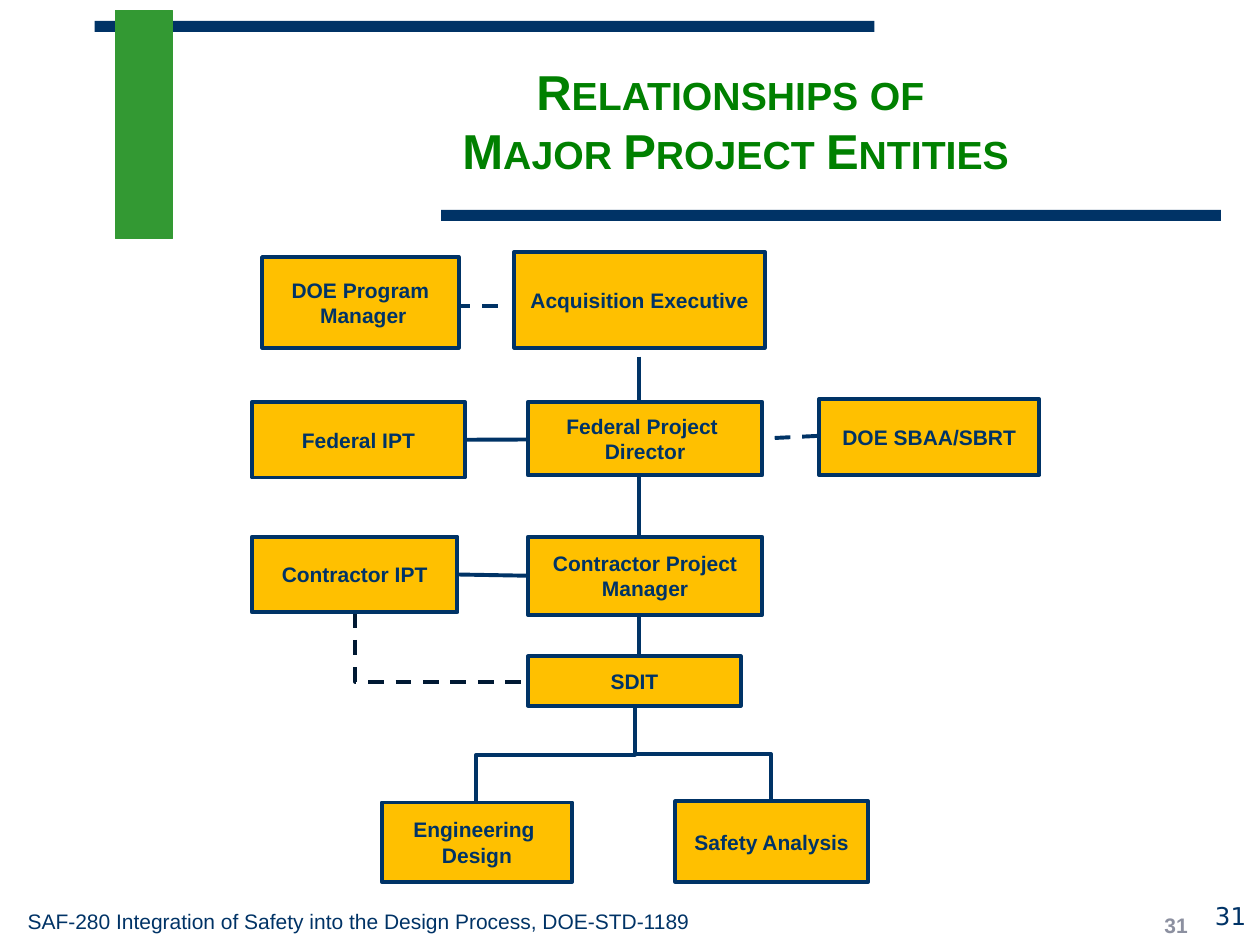
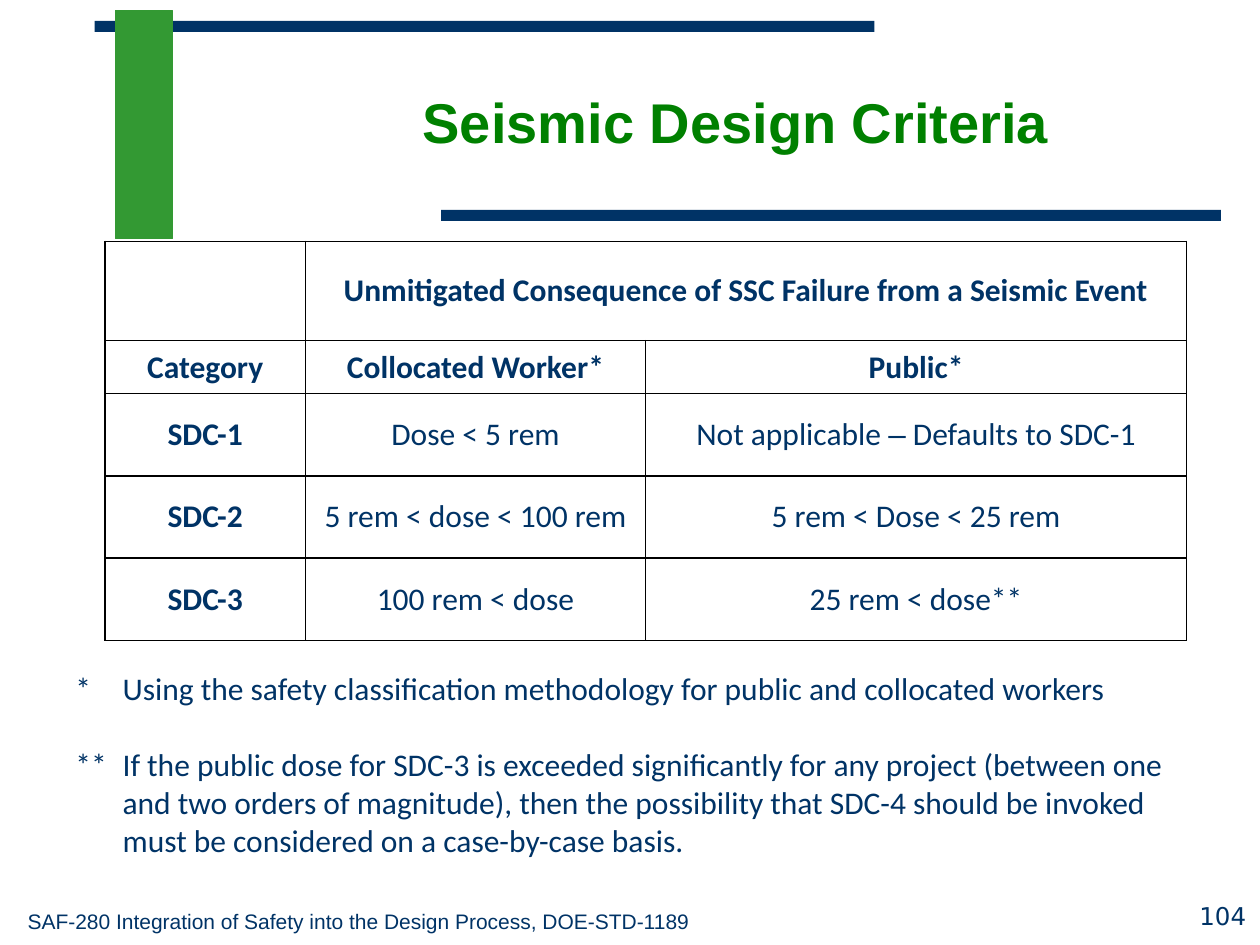
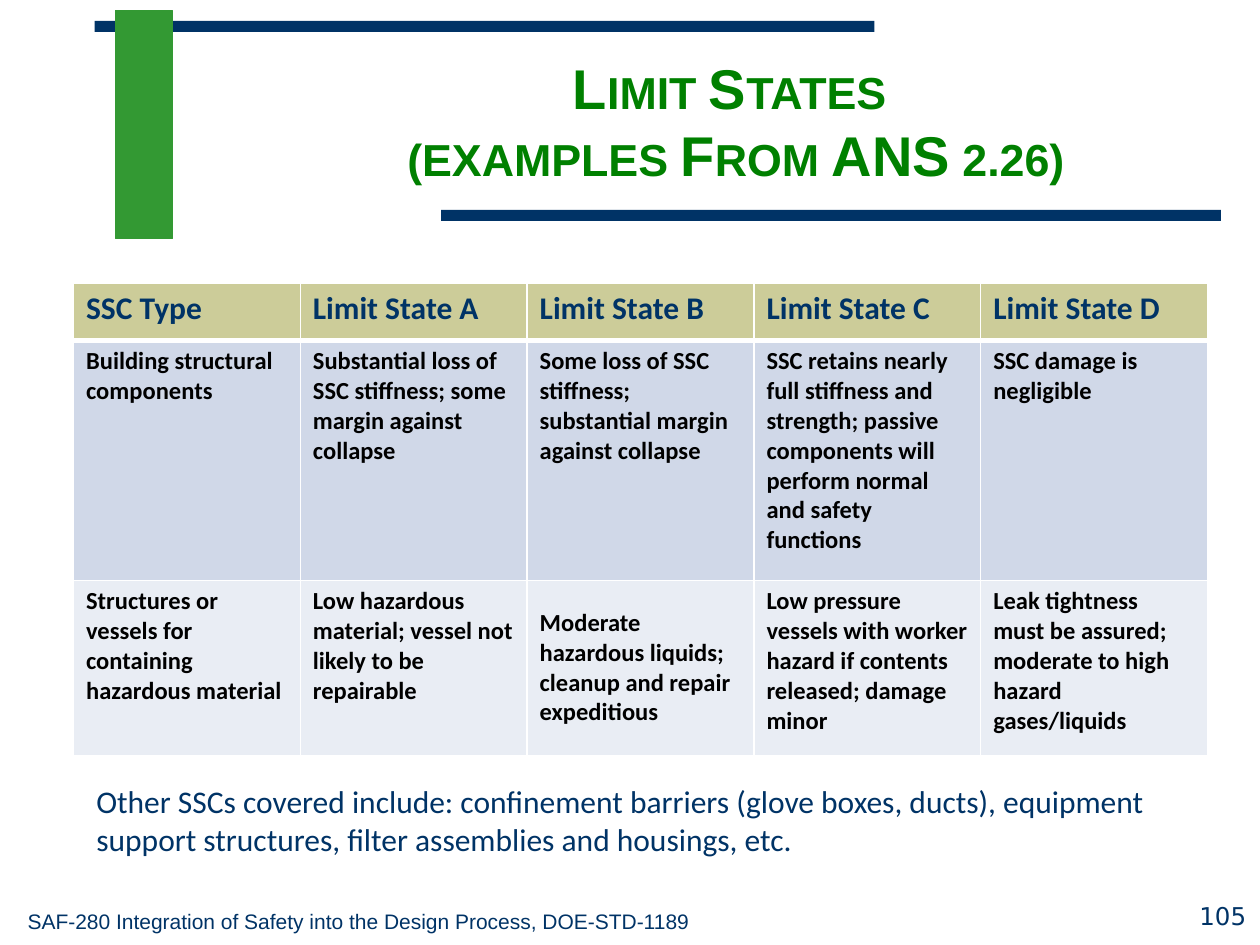
from dataclasses import dataclass

from lxml.etree import SubElement
from pptx import Presentation
from pptx.dml.color import RGBColor
from pptx.enum.dml import MSO_LINE
from pptx.enum.shapes import MSO_CONNECTOR, MSO_SHAPE
from pptx.enum.text import MSO_ANCHOR, MSO_AUTO_SIZE, PP_ALIGN
from pptx.oxml.ns import qn
from pptx.util import Pt


@dataclass(frozen=True)
class Theme:
    navy: str = "003366"
    midnight: str = "001933"
    green: str = "339933"
    title_green: str = "008000"
    gold: str = "FFC000"
    gray: str = "8C90A0"
    black: str = "000000"
    white: str = "FFFFFF"
    khaki: str = "CCCC99"
    row_fills: tuple = ("D0D8E8", "E9EDF4")
    heading_font: str = "Arial"
    body_font: str = "Calibri"
    number_font: str = "DejaVu Sans"
    body: int = 18
    small: int = 14
    label: int = 12


theme = Theme()


def add_span(para, text, size, color=theme.navy, bold=False, font=theme.body_font):
    span = para.add_run()
    span.text = text
    span.font.size = Pt(size)
    span.font.bold = bold
    span.font.name = font
    span.font.color.rgb = RGBColor.from_string(color)
    return span


def set_borders(cell, color, **widths):
    properties = cell._tc.get_or_add_tcPr()
    for side in "LRTB":
        width = Pt(widths.get(side, 1))
        border = SubElement(properties, qn(f"a:ln{side}"), w=str(width))
        fill = SubElement(border, qn("a:solidFill"))
        SubElement(fill, qn("a:srgbClr"), val=color)


deck = Presentation()
deck.slide_width, deck.slide_height = Pt(720), Pt(540)

# Shared frame: bands, title, footer and page number
bands = [
    (54, 12, 445.7, 6.3, theme.navy),
    (66, 6, 32.7, 130.3, theme.green),
    (252, 120, 445.7, 6.3, theme.navy),
]
footer = "SAF-280 Integration of Safety into the Design Process, DOE-STD-1189"
headings = [
    (["Relationships of ", "Major Project Entities"], 28, True, "31"),
    (["Seismic Design Criteria"], 32, False, "104"),
    (["Limit States ", "(examples From ANS 2.26)"], 32, True, "105"),
]
pages = []
for lines, size, small_caps, number in headings:
    page = deck.slides.add_slide(deck.slide_layouts[5])
    pages.append(page)

    for left, top, width, height, color in bands:
        band = page.shapes.add_shape(
            MSO_SHAPE.RECTANGLE, Pt(left), Pt(top), Pt(width), Pt(height))
        band.shadow.inherit = False
        band.fill.solid()
        band.fill.fore_color.rgb = RGBColor.from_string(color)
        if color == theme.green:
            band.line.color.rgb = RGBColor.from_string(color)
            band.line.width = Pt(0.75)
        else:
            band.line.fill.background()

    title = page.shapes.title
    title.left, title.top, title.width, title.height = Pt(139), Pt(24), Pt(563), Pt(90)
    title.text_frame.auto_size = MSO_AUTO_SIZE.NONE
    title.text_frame.vertical_anchor = MSO_ANCHOR.MIDDLE
    para = title.text_frame.paragraphs[0]
    para.alignment = PP_ALIGN.CENTER
    for index, line in enumerate(lines):
        if index:
            para.add_line_break()
        span = add_span(para, line, size, theme.title_green, True, theme.heading_font)
        if small_caps:
            span.font._element.set("cap", "small")

    for text, place, align, size, font in [
        (footer, (15.8, 508.3, 398.2, 25.2), PP_ALIGN.LEFT, theme.label, theme.heading_font),
        (number, (539.3, 495.4, 172.8, 36), PP_ALIGN.RIGHT, theme.small, theme.number_font),
    ]:
        box = page.shapes.add_textbox(*map(Pt, place))
        frame = box.text_frame
        frame.word_wrap = True
        frame.vertical_anchor = MSO_ANCHOR.BOTTOM
        frame.margin_left = frame.margin_right = frame.margin_top = frame.margin_bottom = 0
        frame.paragraphs[0].alignment = align
        add_span(frame.paragraphs[0], text, size, font=font)

entities_page, seismic_page, limits_page = pages

# Project entities: second page number
box = entities_page.shapes.add_textbox(Pt(624.2), Pt(517), Pt(95.8), Pt(23))
box.text_frame.word_wrap = True
box.text_frame.vertical_anchor = MSO_ANCHOR.MIDDLE
para = box.text_frame.paragraphs[0]
para.alignment = PP_ALIGN.CENTER
add_span(para, "31", theme.label, theme.gray, True, theme.heading_font)

# Project entities: links, drawn beneath the boxes
links = [
    ("line", 365, 203.8, 365, 401, False),
    ("line", 181.4, 175, 290.9, 175, True),
    ("line", 265.7, 251.3, 436.3, 250.6, False),
    ("line", 261.4, 328.3, 301.7, 329, False),
    ("line", 467.3, 249.1, 436.3, 250.6, True),
    ("bentConnector3", 362.9, 403.9, 272.2, 458.6, False),
    ("bentConnector3", 362.9, 403.9, 440.6, 457.9, False),
    ("bentConnector2", 203, 349.9, 301.7, 389.5, True),
]
for shape, x1, y1, x2, y2, dashed in links:
    bent = shape != "line"
    kind = MSO_CONNECTOR.ELBOW if bent else MSO_CONNECTOR.STRAIGHT
    turn = 90 if x2 < x1 else 270
    if bent:
        # An elbow that leaves downwards is a sideways one turned about its centre
        middle_x, middle_y = (x1 + x2) / 2, (y1 + y2) / 2
        reach = (y2 - y1) / 2 * (1 if turn == 90 else -1)
        rise = abs(x2 - x1) / 2
        x1, x2 = middle_x - reach, middle_x + reach
        y1, y2 = middle_y - rise, middle_y + rise
    link = entities_page.shapes.add_connector(kind, Pt(x1), Pt(y1), Pt(x2), Pt(y2))
    properties = link._element.spPr
    if bent:
        properties.find(qn("a:xfrm")).set("rot", str(turn * 60000))
        properties.find(qn("a:prstGeom")).set("prst", shape)
    color = theme.midnight if shape == "bentConnector2" else theme.navy
    link.line.color.rgb = RGBColor.from_string(color)
    link.line.width = Pt(2.25)
    if dashed:
        link.line.dash_style = MSO_LINE.DASH
    SubElement(properties, qn("a:effectLst"))

# Project entities: boxes
entities = [
    (["Acquisition Executive"], 293.8, 144, 143.3, 54.7),
    (["DOE SBAA/SBRT"], 468, 228.2, 126, 43.2),
    (["Contractor IPT"], 144, 306.7, 117.4, 43.2),
    (["Engineering ", "Design"], 218.2, 458.6, 108.7, 45.4),
    (["Safety Analysis"], 385.9, 457.9, 110.2, 46.1),
    (["SDIT"], 301.7, 375.1, 121.7, 28.1),
    (["Contractor Project", "Manager"], 301.7, 306.7, 133.9, 44.6),
    (["DOE Program", " Manager"], 149.8, 146.9, 112.3, 51.8),
    (["Federal IPT"], 144, 229.7, 121.7, 43.2),
    (["Federal Project ", "Director"], 301.7, 229.7, 133.9, 41.8),
]
for lines, *place in entities:
    box = entities_page.shapes.add_shape(MSO_SHAPE.RECTANGLE, *map(Pt, place))
    box.shadow.inherit = False
    box.fill.solid()
    box.fill.fore_color.rgb = RGBColor.from_string(theme.gold)
    box.line.color.rgb = RGBColor.from_string(theme.navy)
    box.line.width = Pt(2.25)
    frame = box.text_frame
    frame.word_wrap = False
    frame.vertical_anchor = MSO_ANCHOR.MIDDLE
    frame.margin_left = frame.margin_right = Pt(5.8)
    frame.margin_top = frame.margin_bottom = Pt(2.9)
    for index, line in enumerate(lines):
        para = frame.add_paragraph() if index else frame.paragraphs[0]
        para.alignment = PP_ALIGN.CENTER
        add_span(para, line, theme.label, bold=True, font=theme.heading_font)

# Seismic design criteria: table
criteria = [
    ["", "Unmitigated Consequence of SSC Failure from a Seismic Event", ""],
    ["Category", "Collocated Worker*", "Public*"],
    ["SDC-1", "Dose < 5 rem", "Not applicable – Defaults to SDC-1"],
    ["SDC-2", "5 rem < dose < 100 rem", "5 rem < Dose < 25 rem"],
    ["SDC-3", "100 rem < dose", "25 rem < dose**"],
]
table = seismic_page.shapes.add_table(5, 3, Pt(60), Pt(138), Pt(618), Pt(228)).table
table.first_row = table.horz_banding = False
for column, width in zip(table.columns, (114.5, 194.5, 309)):
    column.width = Pt(width)
for row, height in zip(table.rows, (56.7, 30.3, 47, 47, 47)):
    row.height = Pt(height)
table.cell(0, 1).merge(table.cell(0, 2))
for row, texts in enumerate(criteria):
    for column, text in enumerate(texts):
        cell = table.cell(row, column)
        set_borders(cell, theme.black)
        cell.fill.background()
        cell.vertical_anchor = MSO_ANCHOR.MIDDLE
        para = cell.text_frame.paragraphs[0]
        para.alignment = PP_ALIGN.CENTER
        for piece in filter(None, text.partition("–")):
            font = theme.heading_font if piece == "–" else theme.body_font
            add_span(para, piece, theme.body, bold=row < 2 or column == 0, font=font)

# Seismic design criteria: footnotes
notes = [
    "*\tUsing the safety classification methodology for public and collocated workers",
    "**\tIf the public dose for SDC-3 is exceeded significantly for any project "
    "(between one and two orders of magnitude), then the possibility that SDC-4 "
    "should be invoked must be considered on a case-by-case basis.",
]
box = seismic_page.shapes.add_textbox(Pt(36), Pt(378), Pt(642), Pt(116.6))
frame = box.text_frame
frame.word_wrap = True
frame.vertical_anchor = MSO_ANCHOR.MIDDLE
for index, note in enumerate(notes):
    para = frame.add_paragraph() if index else frame.paragraphs[0]
    indents = para._p.get_or_add_pPr()
    indents.set("marL", str(Pt(27)))
    indents.set("indent", str(Pt(-27)))
    if index:
        para.space_before = Pt(22)
    add_span(para, note, theme.body)

# Limit states: table
limits = [
    ["SSC Type"] + [f"Limit State {letter}" for letter in "ABCD"],
    [
        "Building structural components",
        "Substantial loss of SSC stiffness; some margin against collapse",
        "Some loss of SSC stiffness; substantial margin against collapse",
        "SSC retains nearly full stiffness and strength; passive components "
        "will perform normal and safety functions",
        "SSC damage is negligible",
    ],
    [
        "Structures or vessels for containing hazardous material",
        "Low hazardous material; vessel not likely to be repairable",
        "Moderate hazardous liquids; cleanup and repair expeditious",
        "Low pressure vessels with worker hazard if contents released; damage minor",
        "Leak tightness must be assured; moderate to high hazard gases/liquids",
    ],
]
row_styles = [
    (theme.khaki, theme.body, theme.navy, {"B": 3}),
    (theme.row_fills[0], theme.small, theme.black, {"T": 3}),
    (theme.row_fills[1], theme.small, theme.black, {}),
]
table = limits_page.shapes.add_table(3, 5, Pt(42), Pt(162), Pt(648), Pt(270)).table
for row, height in zip(table.rows, (32.4, 137.2, 100)):
    row.height = Pt(height)
for row, (texts, style) in enumerate(zip(limits, row_styles)):
    fill, size, color, widths = style
    for column, text in enumerate(texts):
        cell = table.cell(row, column)
        set_borders(cell, theme.white, **widths)
        cell.fill.solid()
        cell.fill.fore_color.rgb = RGBColor.from_string(fill)
        add_span(cell.text_frame.paragraphs[0], text, size, color, True)
table.cell(2, 2).vertical_anchor = MSO_ANCHOR.MIDDLE

# Limit states: closing remark
box = limits_page.shapes.add_textbox(Pt(48), Pt(443.5), Pt(624), Pt(72.7))
box.text_frame.word_wrap = True
add_span(
    box.text_frame.paragraphs[0],
    "Other SSCs covered include: confinement barriers (glove boxes, ducts), "
    "equipment support structures, filter assemblies and housings, etc.",
    theme.body,
)

deck.save("out.pptx")
